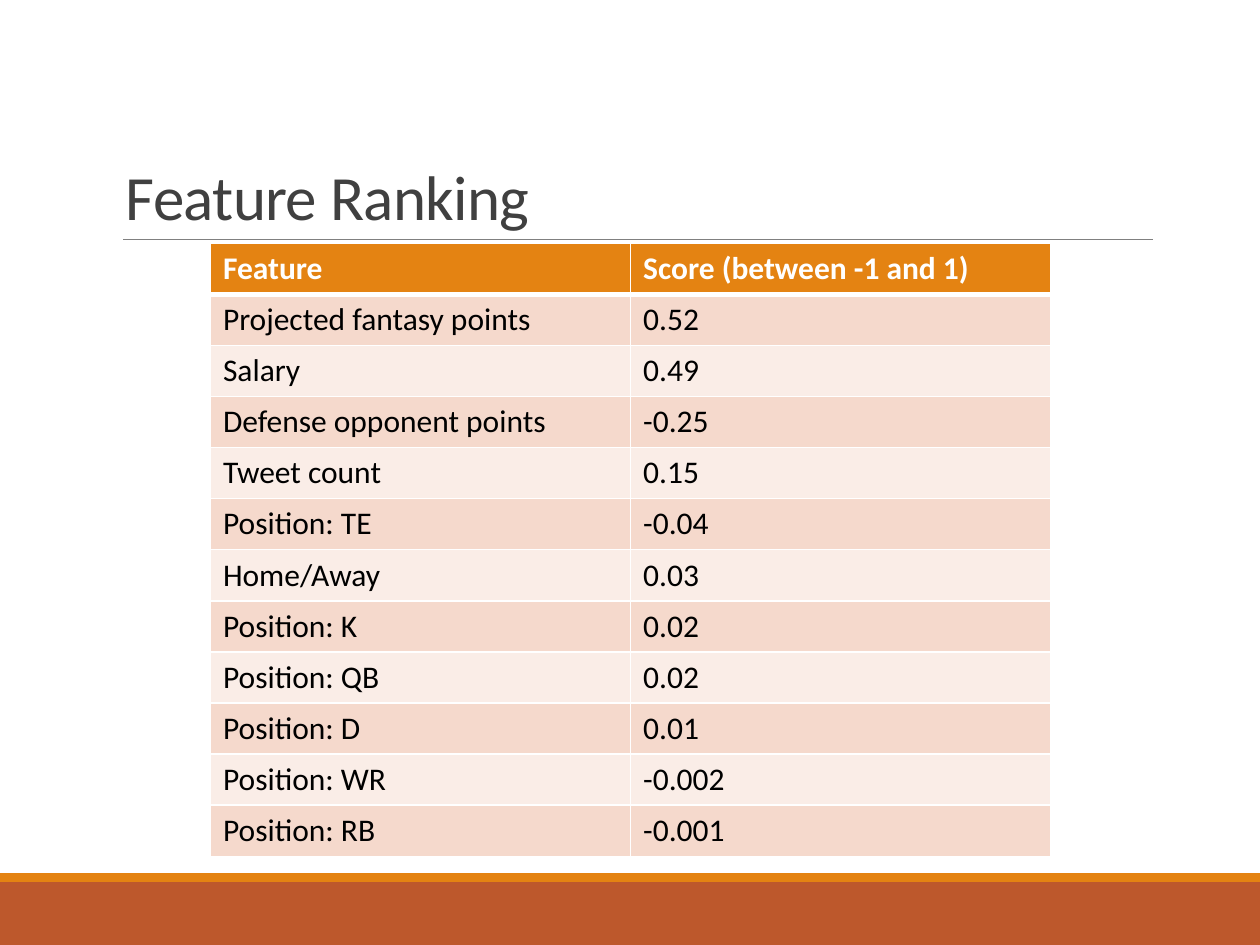
from lxml.etree import SubElement
from pptx import Presentation
from pptx.dml.color import RGBColor
from pptx.enum.shapes import MSO_CONNECTOR, MSO_SHAPE
from pptx.enum.text import MSO_ANCHOR
from pptx.oxml.ns import qn
from pptx.util import Inches, Pt

ORANGE = RGBColor(0xE4, 0x83, 0x12)
RUST = RGBColor(0xBD, 0x58, 0x2C)
BAND_DARK = RGBColor(0xF5, 0xD9, 0xCC)
BAND_LIGHT = RGBColor(0xFA, 0xED, 0xE7)
GRAY = RGBColor(0x80, 0x80, 0x80)
DARK_GRAY = RGBColor(0x40, 0x40, 0x40)
WHITE = RGBColor(0xFF, 0xFF, 0xFF)
BLACK = RGBColor(0, 0, 0)

TITLE = "Feature Ranking"
ROWS = [
    ("Feature", "Score (between -1 and 1)"),
    ("Projected fantasy points", "0.52"),
    ("Salary", "0.49"),
    ("Defense opponent points", "-0.25"),
    ("Tweet count", "0.15"),
    ("Position: TE", "-0.04"),
    ("Home/Away", "0.03"),
    ("Position: K", "0.02"),
    ("Position: QB", "0.02"),
    ("Position: D", "0.01"),
    ("Position: WR", "-0.002"),
    ("Position: RB", "-0.001"),
]
FOOTER_BARS = [(7, 0.5, RUST), (6.93, 0.07, ORANGE)]  # top, height, colour
TABLE_BOX = [Inches(v) for v in (1.67, 1.93, 6.67, 4.87)]


def add_run(p, text, size, color, bold=False):
    r = p.add_run()
    r.text = text
    for name, value in {"name": "Calibri", "size": Pt(size), "bold": bold}.items():
        setattr(r.font, name, value)
    r.font.color.rgb = color
    return r


def add_footer_bars(s):
    for top, height, color in FOOTER_BARS:
        bar = s.shapes.add_shape(MSO_SHAPE.RECTANGLE, 0, Inches(top), Inches(10), Inches(height))
        bar.shadow.inherit = False
        bar.fill.solid()
        bar.fill.fore_color.rgb = color
        bar.line.fill.background()


def add_title(s):
    rule = s.shapes.add_connector(
        MSO_CONNECTOR.STRAIGHT, Inches(0.98), Inches(1.9), Inches(9.15), Inches(1.9))
    rule.line.color.rgb = GRAY
    rule.line.width = Pt(0.5)
    SubElement(rule._element.spPr, qn("a:effectLst"))

    tf = s.shapes.add_textbox(Inches(0.9), Inches(0.31), Inches(8.25), Inches(1.59)).text_frame
    tf.word_wrap = True
    tf.vertical_anchor = MSO_ANCHOR.BOTTOM
    p = tf.paragraphs[0]
    p.line_spacing = 0.85
    r = add_run(p, TITLE, 36, DARK_GRAY)
    r.font._element.set("spc", "-40")


def set_borders(cell, widths):
    """Draw white borders; widths maps a side (L, R, T, B) to points."""
    tcPr = cell._tc.get_or_add_tcPr()
    for side, width in widths.items():
        ln = SubElement(tcPr, qn(f"a:ln{side}"), w=str(Pt(width)))
        fill = SubElement(ln, qn("a:solidFill"))
        SubElement(fill, qn("a:srgbClr"), val=str(WHITE))


def add_ranking_table(s):
    table = s.shapes.add_table(len(ROWS), len(ROWS[0]), *TABLE_BOX).table
    for i, values in enumerate(ROWS):
        header = i == 0
        fill = ORANGE if header else (BAND_LIGHT, BAND_DARK)[i % 2]
        widths = {"L": 1, "R": 1, "T": 3 if i == 1 else 1, "B": 3 if header else 1}
        for j, text in enumerate(values):
            cell = table.cell(i, j)
            set_borders(cell, widths)
            cell.fill.solid()
            cell.fill.fore_color.rgb = fill
            add_run(cell.text_frame.paragraphs[0], text, 18, WHITE if header else BLACK, header)


def main():
    prs = Presentation()
    prs.slide_width, prs.slide_height = Inches(10), Inches(7.5)
    s = prs.slides.add_slide(prs.slide_layouts[6])
    add_footer_bars(s)
    add_title(s)
    add_ranking_table(s)
    prs.save("out.pptx")


if __name__ == "__main__":
    main()
